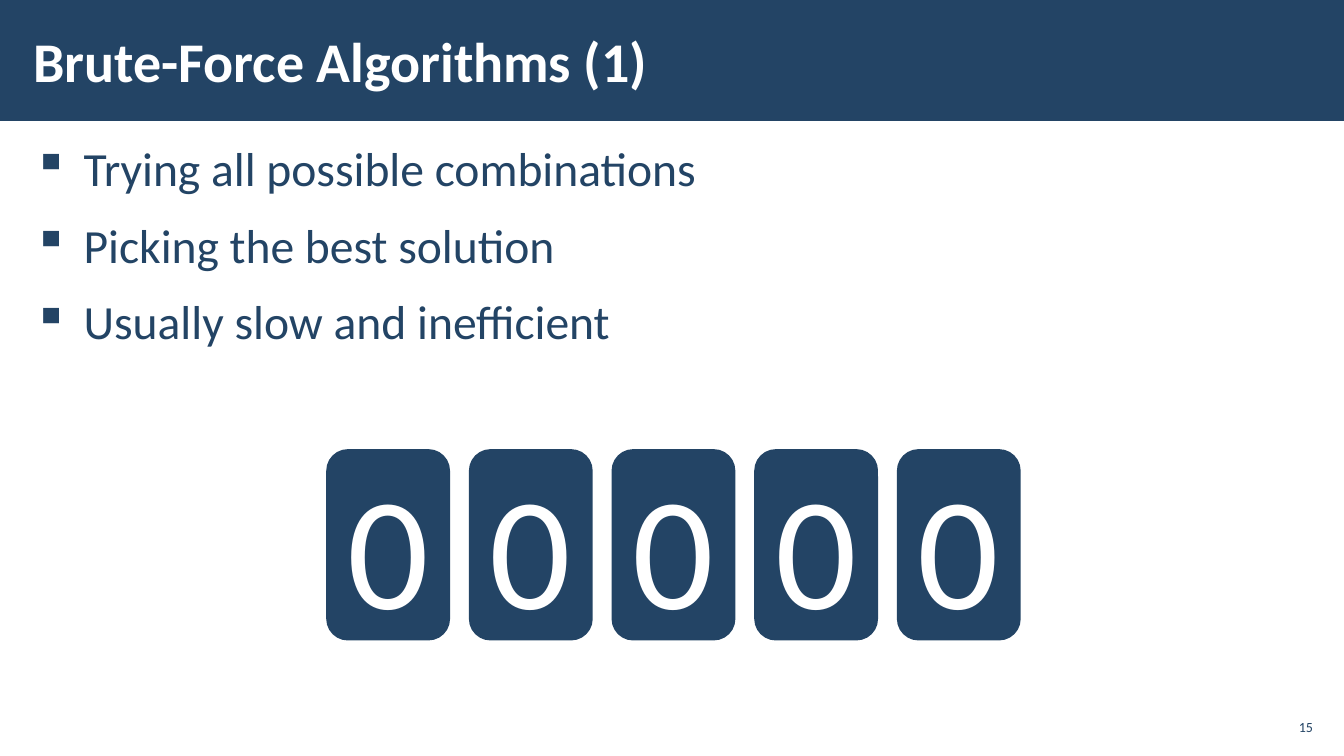
import pptx
import pptx.util
import pptx.dml.color
import pptx.enum.shapes
import pptx.enum.text
import pptx.oxml.ns
from lxml import etree

Inches = pptx.util.Inches
Pt = pptx.util.Pt
Shape = pptx.enum.shapes.MSO_SHAPE
Align = pptx.enum.text.PP_ALIGN
Anchor = pptx.enum.text.MSO_ANCHOR

FONT = "Calibri"
COLORS = {"navy": "234465", "white": "FFFFFF"}


def color(name):
    return pptx.dml.color.RGBColor.from_string(COLORS[name])


def style(para, size, name, bold=False):
    font = para.font
    font.name, font.size, font.bold = FONT, Pt(size), bold
    font.color.rgb = color(name)


def add_block(slide, kind, box):
    block = slide.shapes.add_shape(kind, *map(Inches, box))
    block.shadow.inherit = False
    block.fill.solid()
    block.fill.fore_color.rgb = color("navy")
    return block


def add_text(slide, box, anchor, inset):
    frame = slide.shapes.add_textbox(*map(Inches, box)).text_frame
    frame.word_wrap = True
    frame.vertical_anchor = anchor
    frame.margin_left = frame.margin_right = Inches(inset[0])
    frame.margin_top = frame.margin_bottom = Inches(inset[1])
    return frame


def add_bullet(para, indent):
    props = para._p.get_or_add_pPr()
    props.set("marL", str(Inches(indent)))
    props.set("indent", str(Inches(-indent)))
    mark = etree.SubElement(props, pptx.oxml.ns.qn("a:buChar"))
    mark.set("char", "▪")


def add_header(slide, box, title):
    left, top, width, height = box
    band = add_block(slide, Shape.RECTANGLE, box)
    band.line.fill.background()
    area = (left + 0.21, top + 0.11, 10.39, height - 0.23)
    para = add_text(slide, area, Anchor.MIDDLE, (0.12, 0.04)).paragraphs[0]
    para.text = title
    style(para, 40, "white", bold=True)


def add_points(slide, box, points):
    frame = add_text(slide, box, Anchor.TOP, (0.12, 0.04))
    for i, point in enumerate(points):
        para = frame.paragraphs[0] if i == 0 else frame.add_paragraph()
        para.text = point
        add_bullet(para, 0.5)
        para.line_spacing = 1.05
        para.space_before = Pt(6 if i else 0)
        para.space_after = Pt(6)
        style(para, 34, "navy")


def add_dials(slide, box, digits):
    left, top, width, height = box
    dial = 1.2
    step = (width - dial) / (len(digits) - 1)
    for i, digit in enumerate(digits):
        area = (left + i * step, top, dial, height)
        block = add_block(slide, Shape.ROUNDED_RECTANGLE, area)
        block.line.color.rgb = color("navy")
        block.line.width = Pt(2)
        block.text_frame.vertical_anchor = Anchor.MIDDLE
        para = block.text_frame.paragraphs[0]
        para.text = digit
        para.alignment = Align.CENTER
        style(para, 115, "white")


def add_number(slide, box, number):
    para = add_text(slide, box, Anchor.BOTTOM, (0.1, 0.05)).paragraphs[0]
    para.text = number
    para.alignment = Align.RIGHT
    style(para, 10, "navy")


def main():
    deck = pptx.Presentation()
    deck.slide_width, deck.slide_height = Inches(13.33), Inches(7.5)
    slide = deck.slides.add_slide(deck.slide_layouts[6])

    # Title band
    add_header(slide, (0, 0, 13.33, 1.2), "Brute-Force Algorithms (1)")
    # Key points
    add_points(slide, (0.21, 1.31, 12.92, 5.69), [
        "Trying all possible combinations",
        "Picking the best solution",
        "Usually slow and inefficient",
    ])
    # Combination lock
    add_dials(slide, (3.25, 4.47, 6.86, 1.87), "00000")
    # Slide number
    add_number(slide, (12.65, 7, 0.47, 0.34), "15")

    deck.save("out.pptx")


if __name__ == "__main__":
    main()
